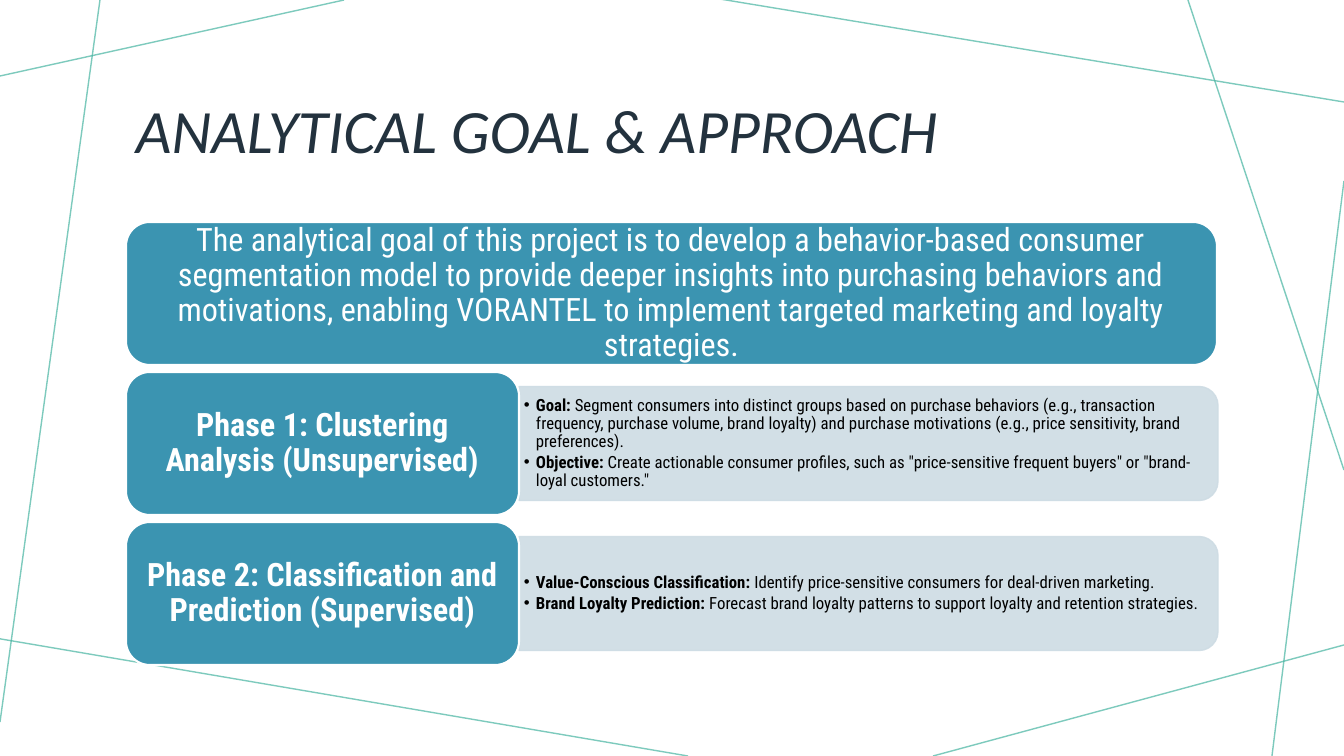
from dataclasses import dataclass

from lxml import etree
from pptx import Presentation
from pptx.dml import color
from pptx.enum import shapes, text
from pptx.oxml import ns
from pptx import util as u

EMU_PER_PX = 914400 / 100.8


@dataclass(frozen=True)
class Theme:
    accent: str = "3B94B1"
    panel: str = "CEDCE4"
    thread: str = "46B4A1"
    title_ink: str = "23323E"
    ink: str = "000000"
    white: str = "FFFFFF"
    title_font: str = "Calibri"
    body_font: str = "Roboto Condensed"
    title_size: int = 44
    bar_size: int = 23
    list_size: int = 12


THEME = Theme()

THREADS = [
    (344, 0, 0, 76),
    (100, 0, 0, 722),
    (688, 756, -5, 638),
    (1344, 645, 933, 756),
    (1344, 181, 1272, 756),
    (1344, 470, 1188, 0),
    (1344, 102, 720, -1),
]

GOAL = (
    "The analytical goal of this project is to develop a behavior-based consumer "
    "segmentation model to provide deeper insights into purchasing behaviors and "
    "motivations, enabling VORANTEL to implement targeted marketing and loyalty strategies."
)

PHASES = [
    ("Phase 1: Clustering Analysis (Unsupervised)", [
        ("Goal:", " Segment consumers into distinct groups based on purchase behaviors "
         "(e.g., transaction frequency, purchase volume, brand loyalty) and purchase "
         "motivations (e.g., price sensitivity, brand preferences)."),
        ("Objective:", " Create actionable consumer profiles, such as \"price-sensitive "
         "frequent buyers\" or \"brand-loyal customers.\""),
    ]),
    ("Phase 2: Classification and Prediction (Supervised)", [
        ("Value-Conscious Classification:",
         " Identify price-sensitive consumers for deal-driven marketing."),
        ("Brand Loyalty Prediction:",
         " Forecast brand loyalty patterns to support loyalty and retention strategies."),
    ]),
]

LEFT, TOP, ROW_STEP, BAR_HEIGHT = 126, 222, 150, 143
GOAL_WIDTH, PHASE_WIDTH = 1091, 393
PANEL_LEFT, PANEL_WIDTH, PANEL_HEIGHT = 519, 699, 114
LIST_WIDTH, LIST_HEIGHT = 694, 103


def px(value):
    return u.Emu(round(value * EMU_PER_PX))


def rgb(value):
    return color.RGBColor.from_string(value)


def place(box, left, top, width, height):
    box.left, box.top = px(left), px(top)
    box.width, box.height = px(width), px(height)


def style_span(span, font, size, ink, bold=False, italic=False):
    span.font.name = font
    span.font.size = u.Pt(size)
    span.font.color.rgb = rgb(ink)
    span.font.bold = bold
    span.font.italic = italic


def set_frame(frame, horizontal, vertical):
    frame.word_wrap = True
    frame.auto_size = text.MSO_AUTO_SIZE.NONE
    frame.vertical_anchor = text.MSO_ANCHOR.MIDDLE
    frame.margin_left = frame.margin_right = px(horizontal)
    frame.margin_top = frame.margin_bottom = px(vertical)


def set_para(para, alignment, after=0):
    para.alignment = alignment
    para.line_spacing = 0.9
    para.space_before = u.Pt(0)
    para.space_after = u.Pt(after)


def set_opacity(shape, percent):
    for tint in shape.element.iter(ns.qn("a:srgbClr")):
        etree.SubElement(tint, ns.qn("a:alpha")).set("val", str(percent * 1000))


def paint(shape, fill, line, line_width):
    shape.shadow.inherit = False
    shape.fill.solid()
    shape.fill.fore_color.rgb = rgb(fill)
    shape.line.color.rgb = rgb(line)
    shape.line.width = u.Pt(line_width)


def add_thread(page, start_x, start_y, end_x, end_y):
    thread = page.shapes.add_connector(
        shapes.MSO_CONNECTOR.STRAIGHT, px(start_x), px(start_y), px(end_x), px(end_y))
    thread.line.color.rgb = rgb(THEME.thread)
    thread.line.width = u.Pt(1)
    etree.SubElement(thread.element.spPr, ns.qn("a:effectLst"))
    set_opacity(thread, 70)


def add_title(page, wording):
    title = page.shapes.title
    place(title, LEFT, 58, 1092, 152)
    title.text_frame.text = wording
    set_frame(title.text_frame, 10, 5)
    para = title.text_frame.paragraphs[0]
    set_para(para, text.PP_ALIGN.LEFT)
    style_span(para.runs[0], THEME.title_font, THEME.title_size, THEME.title_ink, italic=True)


def add_bar(page, top, width, wording, bold):
    bar = page.shapes.add_shape(
        shapes.MSO_SHAPE.ROUNDED_RECTANGLE, px(LEFT), px(top), px(width), px(BAR_HEIGHT))
    paint(bar, THEME.accent, THEME.white, 1.5)
    bar.text_frame.text = wording
    set_frame(bar.text_frame, 10, 5)
    para = bar.text_frame.paragraphs[0]
    set_para(para, text.PP_ALIGN.CENTER)
    style_span(para.runs[0], THEME.body_font, THEME.bar_size, THEME.white, bold=bold)


def add_panel(page, top):
    turn = (PANEL_WIDTH - PANEL_HEIGHT) / 2
    panel = page.shapes.add_shape(
        shapes.MSO_SHAPE.ROUND_2_SAME_RECTANGLE, px(PANEL_LEFT + turn), px(top - turn),
        px(PANEL_HEIGHT), px(PANEL_WIDTH))
    panel.rotation = 90
    paint(panel, THEME.panel, THEME.panel, 1)
    set_opacity(panel, 90)


def add_list(page, box, top, items):
    page.shapes.element.append(box.element)
    place(box, PANEL_LEFT, top, LIST_WIDTH, LIST_HEIGHT)
    frame = box.text_frame
    frame.text = "\n".join(label for label, detail in items)
    set_frame(frame, 5, 3)
    for para, (label, detail) in zip(frame.paragraphs, items):
        para.add_run().text = detail
        set_para(para, text.PP_ALIGN.LEFT, after=2)
        properties = para._p.get_or_add_pPr()
        properties.set("marL", str(px(12)))
        properties.set("indent", str(px(-12)))
        for span, bold in zip(para.runs, (True, False)):
            style_span(span, THEME.body_font, THEME.list_size, THEME.ink, bold=bold)


def main():
    deck = Presentation()
    deck.slide_width, deck.slide_height = px(1344), px(756)
    page = deck.slides.add_slide(deck.slide_layouts.get_by_name("Two Content"))
    lists = [box for box in page.placeholders if box.placeholder_format.idx > 0]
    for thread in THREADS:
        add_thread(page, *thread)
    add_title(page, "ANALYTICAL GOAL & APPROACH")
    add_bar(page, TOP, GOAL_WIDTH, GOAL, bold=False)
    for row, (box, (heading, items)) in enumerate(zip(lists, PHASES), start=1):
        top = TOP + row * ROW_STEP
        add_panel(page, top + (BAR_HEIGHT - PANEL_HEIGHT) / 2)
        add_list(page, box, top + (BAR_HEIGHT - LIST_HEIGHT) / 2, items)
        add_bar(page, top, PHASE_WIDTH, heading, bold=True)
    deck.save("out.pptx")


if __name__ == "__main__":
    main()
